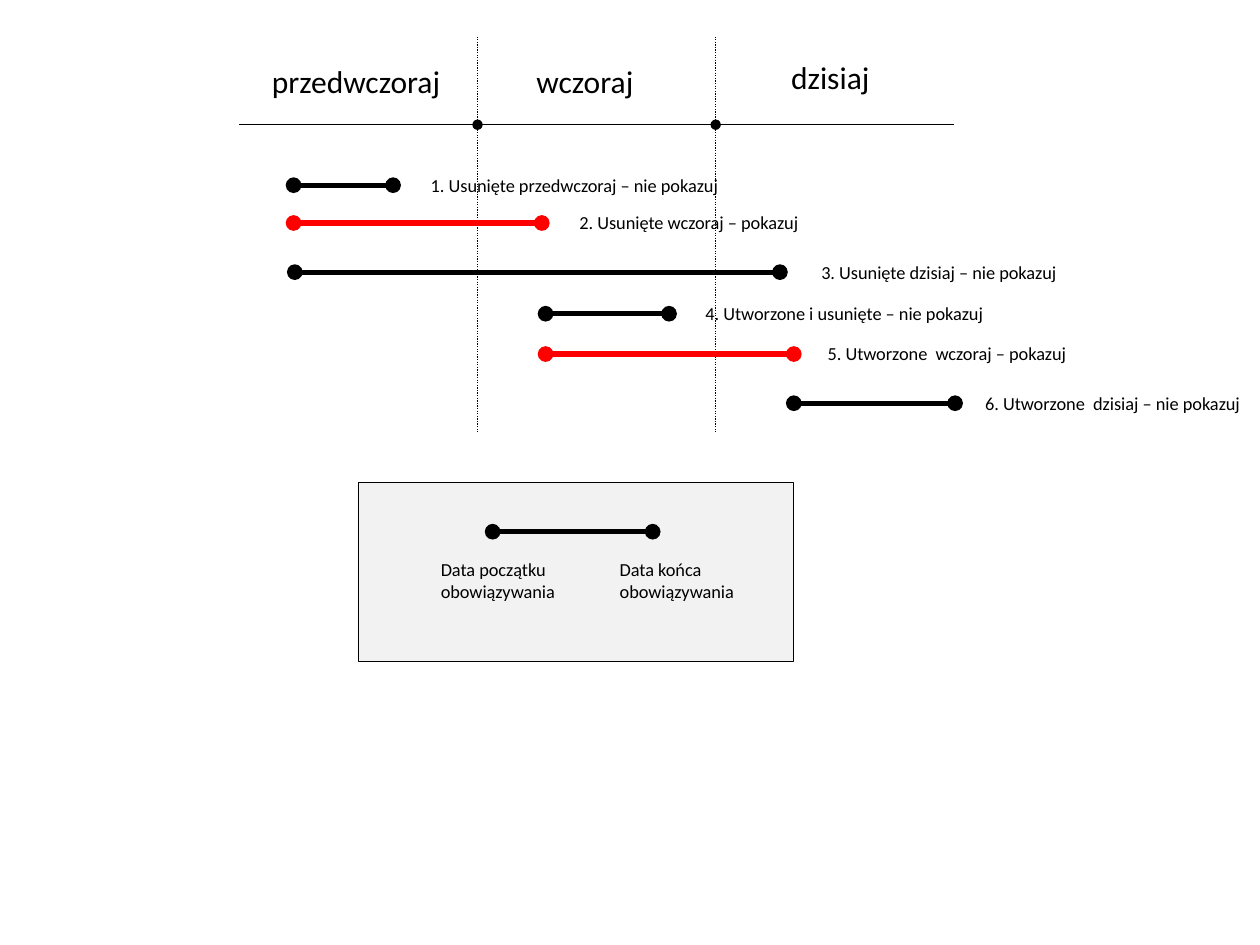
from collections import namedtuple

from lxml.etree import SubElement
from pptx import Presentation
from pptx.dml.color import RGBColor
from pptx.enum.dml import MSO_LINE
from pptx.enum.shapes import MSO_CONNECTOR, MSO_SHAPE
from pptx.enum.text import MSO_AUTO_SIZE
from pptx.oxml.ns import qn
from pptx.util import Emu, Pt

PIXELS_PER_INCH = 100
BLACK, RED, LIGHT_GRAY = "000000", "FF0000", "F2F2F2"

Box = namedtuple("Box", "left top width height")
Period = namedtuple("Period", "name left top width")
Span = namedtuple("Span", "label start end y label_left label_width color")

PERIODS = [
    Period("przedwczoraj", 16, 15, 156),
    Period("wczoraj", 226, 15, 114),
    Period("dzisiaj", 428, 12, 118),
]
SPANS = [
    Span("1. Usunięte przedwczoraj – nie pokazuj", 43, 122, 118, 142, 425, BLACK),
    Span("2. Usunięte wczoraj – pokazuj", 43, 240, 148, 260, 425, RED),
    Span("3. Usunięte dzisiaj – nie pokazuj", 44, 429, 187, 452, 260, BLACK),
    Span("4. Utworzone i usunięte – nie pokazuj", 243, 341, 220, 360, 430, BLACK),
    Span("5. Utworzone  wczoraj – pokazuj", 243, 440, 252, 457, 430, RED),
    Span("6. Utworzone  dzisiaj – nie pokazuj", 440, 568, 291, 582, 430, BLACK),
]


def px(length):
    """Turn pixels into EMU."""
    return Emu(length * 914400 // PIXELS_PER_INCH)


def color(value):
    """Turn a hex string into a colour."""
    return RGBColor.from_string(value)


def add_text(slide, text, left, top, width, height, size=10.5, font_color=BLACK):
    """Add a wrapping text box that grows with its text."""
    text_box = slide.shapes.add_textbox(px(left), px(top), px(width), px(height))
    text_frame = text_box.text_frame
    text_frame.word_wrap = True
    text_frame.auto_size = MSO_AUTO_SIZE.SHAPE_TO_FIT_TEXT
    run = text_frame.paragraphs[0].add_run()
    run.text = text
    run.font.name = "Calibri"
    run.font.size = Pt(size)
    run.font.color.rgb = color(font_color)


def add_line(slide, start, end, line_color=BLACK, width=0.75, dash=None, ovals=()):
    """Add a straight line with oval ends at the named ends."""
    connector = slide.shapes.add_connector(
        MSO_CONNECTOR.STRAIGHT, *map(px, start), *map(px, end))
    connector.line.color.rgb = color(line_color)
    connector.line.width = Pt(width)
    if dash is not None:
        connector.line.dash_style = dash
    line_element = connector.line._get_or_add_ln()
    for end_name in ovals:
        SubElement(line_element, qn(f"a:{end_name}"), type="oval")
    SubElement(connector._element.spPr, qn("a:effectLst"))


def add_span(slide, left, right, y, line_color=BLACK):
    """Add a thick validity span with a dot at both ends."""
    add_line(slide, (left, y), (right, y), line_color, width=3,
             ovals=("headEnd", "tailEnd"))


def add_timeline(slide, box):
    """Add the day axis, its dividers and the day names."""
    column_width = box.width // len(PERIODS)
    axis_y = box.top + 70
    for index, period in enumerate(PERIODS):
        left = box.left + index * column_width
        right = left + column_width
        is_last = index == len(PERIODS) - 1
        add_line(slide, (left, axis_y), (right, axis_y),
                 ovals=() if is_last else ("tailEnd",))
        if not is_last:
            add_line(slide, (right, box.top), (right, box.top + box.height),
                     dash=MSO_LINE.ROUND_DOT)
        add_text(slide, period.name, box.left + period.left, box.top + period.top,
                 period.width, 40, size=18)


def add_cases(slide, box):
    """Add the labelled validity spans under the day axis."""
    for span in SPANS:
        y = box.top + span.y
        add_span(slide, box.left + span.start, box.left + span.end, y, span.color)
        add_text(slide, span.label, box.left + span.label_left, y - 14,
                 span.label_width, 28)


def add_legend(slide, box):
    """Add the framed legend that explains both ends of a span."""
    frame = slide.shapes.add_shape(MSO_SHAPE.RECTANGLE, *map(px, box))
    frame.shadow.inherit = False
    frame.fill.solid()
    frame.fill.fore_color.rgb = color(LIGHT_GRAY)
    frame.line.color.rgb = color(BLACK)
    frame.line.width = Pt(0.25)
    add_span(slide, box.left + 107, box.left + 234, box.top + 39)
    for text, left in (("Data początku obowiązywania", 56),
                       ("Data końca obowiązywania", 198)):
        add_text(slide, text, box.left + left, box.top + 55, 114, 45)


def main():
    """Build and save the presentation."""
    presentation = Presentation()
    presentation.slide_width = px(1000)
    presentation.slide_height = px(750)
    slide = presentation.slides.add_slide(presentation.slide_layouts[6])
    timeline_box = Box(190, 29, 567, 315)
    add_legend(slide, Box(284, 383, 346, 142))
    add_timeline(slide, timeline_box)
    add_cases(slide, timeline_box)
    presentation.save("out.pptx")


if __name__ == "__main__":
    main()
